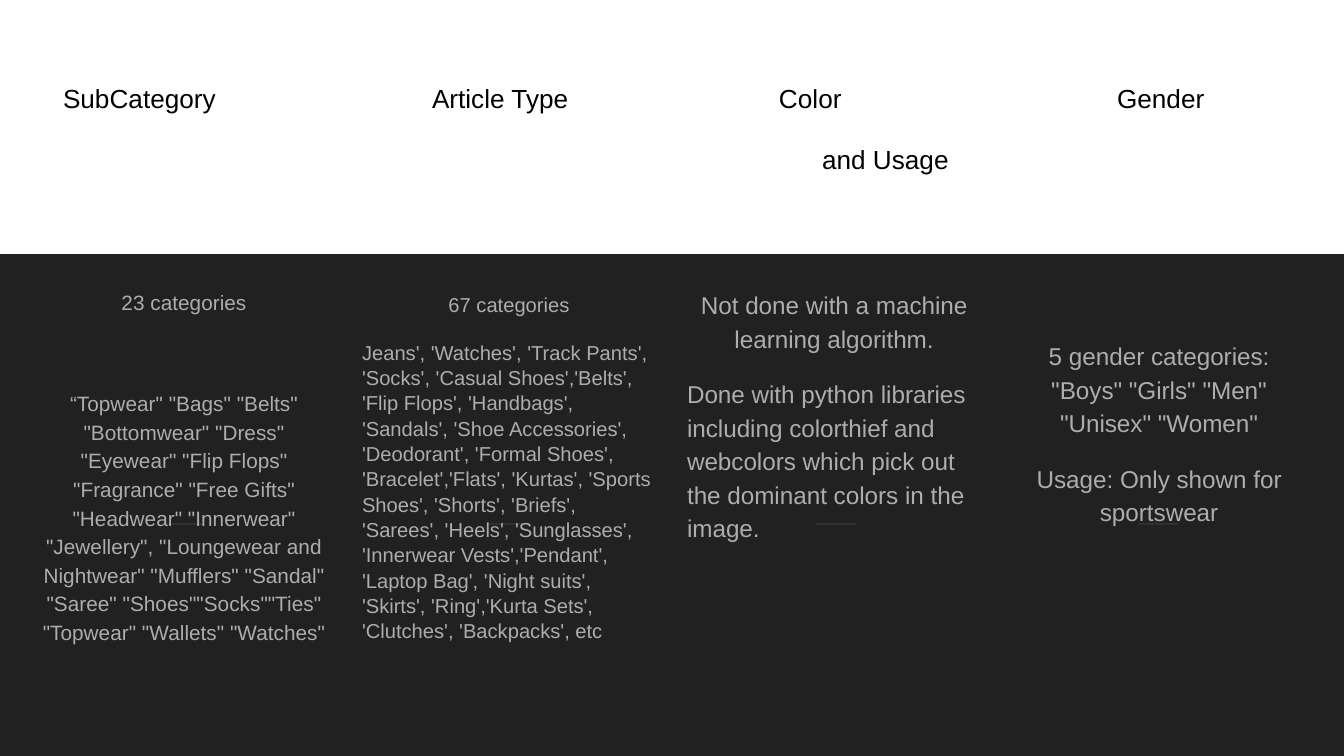
from lxml.etree import SubElement
from pptx import Presentation
from pptx.dml.color import RGBColor
from pptx.enum.shapes import MSO_CONNECTOR, MSO_SHAPE
from pptx.enum.text import MSO_ANCHOR, MSO_AUTO_SIZE, PP_ALIGN
from pptx.oxml.ns import qn
from pptx.util import Pt

SCALE = 914400 / 134.4
INSET = 13


def px(length):
    """Turn picture pixels into EMU."""
    return round(length * SCALE)


def color(hex_code):
    """Turn a hex string into a colour."""
    return RGBColor.from_string(hex_code)


def write(paragraph, text, size, ink, align=PP_ALIGN.CENTER, spacing=1.0, before=0, indent=0):
    """Fill one unbulleted paragraph with formatted text."""
    run = paragraph.add_run()
    run.text = text
    run.font.name = "Arial"
    run.font.size = Pt(size)
    run.font.bold = False
    run.font.color.rgb = color(ink)
    paragraph.alignment = align
    paragraph.line_spacing = spacing
    paragraph.space_before = Pt(before)
    properties = paragraph._p.get_or_add_pPr()
    properties.set("marL", str(px(indent)))
    properties.set("indent", "0")
    SubElement(properties, qn("a:buNone"))


class CategorySlide:
    """Hold the style and the current slide."""

    paper, band_fill, rule_ink = "212121", "FFFFFF", "303030"
    heading_ink, body_ink = "000000", "ADADAD"

    def __init__(self, deck):
        """Add a dark slide with a title and four body placeholders."""
        self.slide = deck.slides.add_slide(deck.slide_layouts[4])
        self.slide.background.fill.solid()
        self.slide.background.fill.fore_color.rgb = color(self.paper)

    def place(self, holder, box, top_inset=INSET):
        """Move a text holder and return its text frame."""
        holder.left, holder.top, holder.width, holder.height = map(px, box)
        frame = holder.text_frame
        frame.word_wrap = True
        frame.auto_size = MSO_AUTO_SIZE.NONE
        frame.vertical_anchor = MSO_ANCHOR.TOP
        frame.margin_left = frame.margin_right = frame.margin_bottom = px(INSET)
        frame.margin_top = px(top_inset)
        return frame

    def band(self, box):
        """Draw the light band behind the headings."""
        band = self.slide.shapes.add_shape(MSO_SHAPE.RECTANGLE, *map(px, box))
        band.shadow.inherit = False
        band.fill.solid()
        band.fill.fore_color.rgb = color(self.band_fill)
        band.line.fill.background()
        self.slide.shapes.title._element.addprevious(band._element)

    def heading(self, box, lines, is_title=False):
        """Write one heading, each later line indented further."""
        shapes = self.slide.shapes
        holder = shapes.title if is_title else shapes.add_textbox(*map(px, box))
        frame = self.place(holder, box)
        for row, text in enumerate(lines):
            paragraph = frame.add_paragraph() if row else frame.paragraphs[0]
            write(paragraph, text, 14, self.heading_ink, align=PP_ALIGN.LEFT,
                  before=16 * row, indent=43 * row)

    def column(self, index, box, size, spacing, texts, gap=12, top_inset=INSET):
        """Write one column of aligned paragraphs."""
        body = self.slide.placeholders[index]
        frame = self.place(body, box, top_inset)
        for row, (text, align) in enumerate(texts):
            paragraph = frame.add_paragraph() if row else frame.paragraphs[0]
            write(paragraph, text, size, self.body_ink, align=align, spacing=spacing,
                  before=gap if row else 0)
        return body

    def rule(self, left, top, width, behind):
        """Draw a thin rule behind a column."""
        line = self.slide.shapes.add_connector(
            MSO_CONNECTOR.STRAIGHT, px(left), px(top), px(left + width), px(top))
        line.line.color.rgb = color(self.rule_ink)
        line.line.width = Pt(0.75)
        SubElement(line._element.spPr, qn("a:effectLst"))
        behind._element.addprevious(line._element)


CENTER, LEFT = PP_ALIGN.CENTER, PP_ALIGN.LEFT

HEADINGS = [
    (50, ["SubCategory"]),
    (419, ["Article Type"]),
    (766, ["Color", "and Usage"]),
    (1104, ["Gender"]),
]

SUBCATEGORIES = (
    '“Topwear" "Bags" "Belts" "Bottomwear" "Dress" "Eyewear" "Flip Flops" "Fragrance" '
    '"Free Gifts" "Headwear" "Innerwear" "Jewellery", "Loungewear and Nightwear" "Mufflers" '
    '"Sandal" "Saree" "Shoes""Socks""Ties" "Topwear" "Wallets" "Watches"')
ARTICLE_TYPES = (
    "Jeans', 'Watches', 'Track Pants', 'Socks', 'Casual Shoes','Belts', 'Flip Flops', "
    "'Handbags', 'Sandals', 'Shoe Accessories', 'Deodorant', 'Formal Shoes', "
    "'Bracelet','Flats', 'Kurtas', 'Sports Shoes', 'Shorts', 'Briefs', 'Sarees', 'Heels', "
    "'Sunglasses', 'Innerwear Vests','Pendant', 'Laptop Bag', 'Night suits', 'Skirts', "
    "'Ring','Kurta Sets', 'Clutches', 'Backpacks', etc")
COLOR_METHOD = ("Done with python libraries including colorthief and webcolors which pick out "
                "the dominant colors in the image.")
GENDERS = '5 gender categories: "Boys" "Girls" "Men" "Unisex" "Women"'

COLUMNS = [
    (164, dict(box=(24, 273, 320, 433), size=11.1, spacing=1.15, gap=39,
               texts=[("23 categories", CENTER), (SUBCATEGORIES, CENTER)])),
    (489, dict(box=(349, 278, 320, 433), size=10.8, spacing=1.05,
               texts=[("67 categories", CENTER), (ARTICLE_TYPES, LEFT)])),
    (816, dict(box=(674, 273, 320, 426), size=13, spacing=1.15,
               texts=[("Not done with a machine learning algorithm.", CENTER),
                      (COLOR_METHOD, LEFT)])),
    (1138, dict(box=(999, 273, 320, 433), size=13, spacing=1.15, top_inset=64,
                texts=[(GENDERS, CENTER), ("Usage: Only shown for sportswear", CENTER)])),
]

deck = Presentation()
deck.slide_width, deck.slide_height = px(1344), px(756)
categories = CategorySlide(deck)
categories.band((-1, 0, 1347, 254))
for position, (heading_left, lines) in enumerate(HEADINGS):
    categories.heading((heading_left, 69, 230, 62 * len(lines)), lines, is_title=position == 0)
for number, (rule_left, content) in enumerate(COLUMNS, start=1):
    column = categories.column(number, **content)
    categories.rule(rule_left, 524, 40, behind=column)
deck.save("out.pptx")
